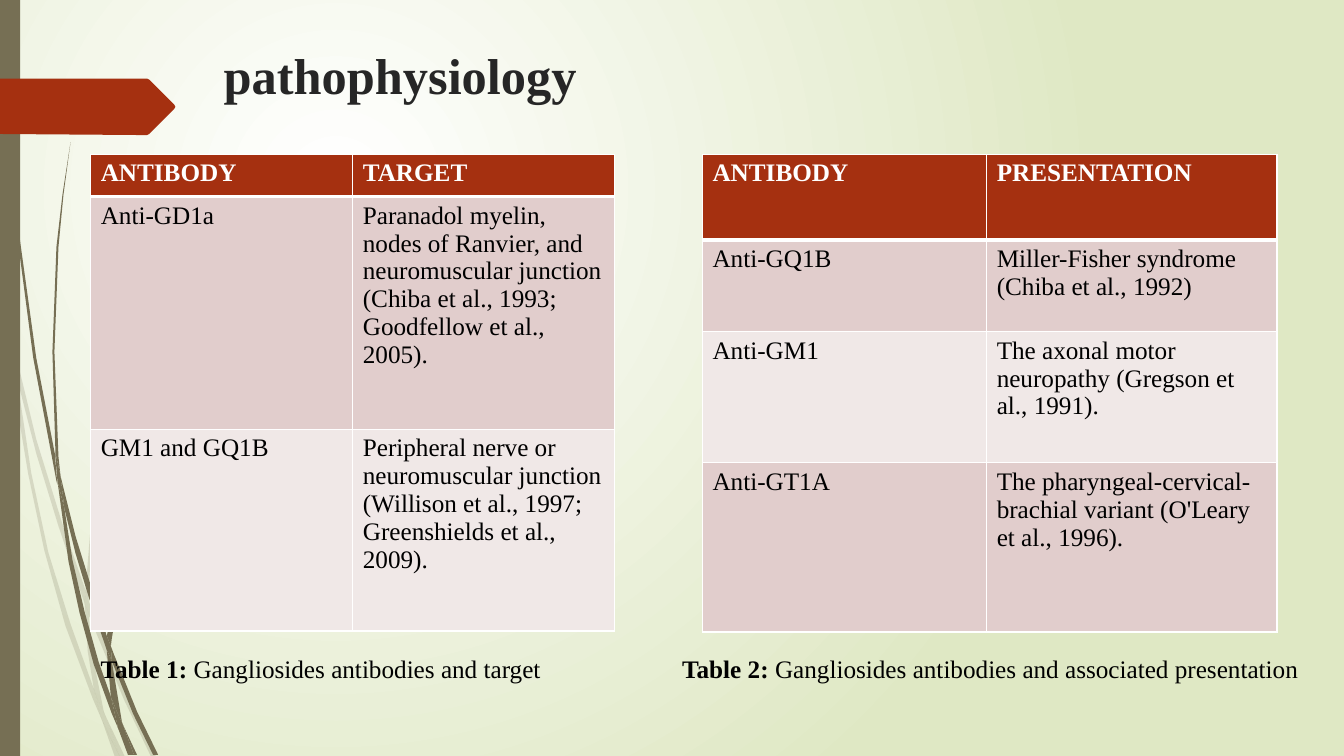
from dataclasses import dataclass

from lxml import etree
from pptx import Presentation
from pptx.dml.color import RGBColor
from pptx.enum.shapes import MSO_SHAPE
from pptx.enum.text import MSO_ANCHOR, MSO_AUTO_SIZE, PP_ALIGN
from pptx.oxml.ns import qn
from pptx.util import Pt

RECT = MSO_SHAPE.RECTANGLE
BOTTOM = MSO_ANCHOR.BOTTOM
LEFT = PP_ALIGN.LEFT
NO_FIT, GROW = MSO_AUTO_SIZE.NONE, MSO_AUTO_SIZE.SHAPE_TO_FIT_TEXT


@dataclass(frozen=True)
class Theme:
    font: str = "Times New Roman"
    title_size: float = 36
    text_size: float = 18
    title: str = "262626"
    text: str = "000000"
    white: str = "FFFFFF"
    edge: str = "DFE8C4"
    wisp: str = "766F54"
    accent: str = "A53010"
    bands: tuple[str, str] = ("E1CDCC", "F0E8E7")


@dataclass(frozen=True)
class AntibodyTable:
    left: float
    col_widths: list[float]
    row_heights: list[float]
    rows: list[tuple[str, str]]


@dataclass(frozen=True)
class Caption:
    left: float
    width: float
    label: str
    wording: str


THEME = Theme()
TABLE_TOP, CAPTION_TOP, CAPTION_HEIGHT = 110.2, 461.5, 29.5
GRID = Pt(0.72)  # unit of the outlines below: a hundredth of an inch

PALE_WISPS = [
    "11,350 9,322 0,282 0,299 10,344",
    "58,522 84,599 85,586 62,520 36,436 14,345 17,376 36,450",
    "92,607 88,596 88,610 123,694 150,751 155,751 127,692",
    "119,751 124,751 105,711",
    "93,683 70,619 48,548 31,469 17,376 11,350 18,410 28,470 44,546 65,621 92,693 101,714 99,707",
    "84,599 87,646 93,683 96,692 105,711 103,706 91,646 88,610 88,608",
    "88,584 92,523 110,462 132,405 160,349 192,296 229,245 268,198 290,175 312,154 312,153 "
    "289,175 268,197 228,244 190,294 158,348 130,403 107,461 90,522 85,584 85,586 88,596",
    "101,714 114,751 119,751",
    "88,608 88,610 88,596 85,586 84,599",
    "96,692 93,683 99,707 101,714 119,751 105,711",
]
DARK_WISPS = [
    "7,110 17,233 33,355 56,477 57,481 55,457 55,453 36,355 19,232 8,109 5,48 4,0 3,0 4,48",
    "88,592 106,645 106,633 106,631 93,590 75,532 60,472 64,505 75,549",
    "113,649 110,641 111,656 132,708 152,749 157,749 136,706",
    "110,691 98,657 84,607 72,556 64,505 57,477 68,557 79,608 93,659 111,708 117,722 116,717",
    "60,472 58,453 54,349 58,245 63,193 70,141 62,193 56,245 52,349 55,449",
    "133,749 136,749 122,719",
    "57,477 64,505 60,472 55,449 55,453",
    "111,633 125,552 158,476 205,406 231,374 245,359 261,344 260,344 "
    "245,358 231,373 204,405 156,474 122,551 106,631 110,641",
    "117,722 127,749 131,749",
    "106,645 110,691 116,706 122,719 121,716 111,656 109,651",
    "106,645 109,651 111,656 110,641 106,631 106,633",
    "116,706 110,691 116,717 117,722 130,749 133,749 122,719",
]
ARROW_BAND = "173,108 148,133 146,134 136,134 0,133 0,78 146,78 148,79 173,104 174,106"

TABLES = [
    AntibodyTable(64.8, [187.2, 187.2], [30.2, 166.3, 144], [
        ("ANTIBODY", "TARGET"),
        ("Anti-GD1a", "Paranadol myelin, nodes of Ranvier, and neuromuscular junction "
                      "(Chiba et al., 1993; Goodfellow et al., 2005)."),
        ("GM1 and GQ1B", "Peripheral nerve or neuromuscular junction "
                         "(Willison et al., 1997; Greenshields et al., 2009)."),
    ]),
    AntibodyTable(501.8, [203, 207.4], [61.2, 65.5, 93.6, 121], [
        ("ANTIBODY", "PRESENTATION"),
        ("Anti-GQ1B", "Miller-Fisher syndrome (Chiba et al., 1992)"),
        ("Anti-GM1", "The axonal motor neuropathy (Gregson et al., 1991)."),
        ("Anti-GT1A", "The pharyngeal-cervical-brachial variant (O'Leary et al., 1996)."),
    ]),
]
CAPTIONS = [
    Caption(64.8, 353.5, "Table 1: ", "Gangliosides antibodies and target"),
    Caption(480.2, 480.2, "Table 2: ", "Gangliosides antibodies and associated presentation"),
]


def rgb(color: str) -> RGBColor:
    return RGBColor.from_string(color)


def add_run(p, text: str, color: str, bold: bool, size: float = THEME.text_size) -> None:
    r = p.add_run()
    r.text = text
    r.font.name, r.font.size, r.font.bold = THEME.font, Pt(size), bold
    r.font.color.rgb = rgb(color)


def paint(sp, color: str, alpha: int = 100) -> None:
    """Fill a shape flat, with opacity in percent and neither line nor shadow."""
    sp.shadow.inherit = False
    sp.line.fill.background()
    sp.fill.solid()
    sp.fill.fore_color.rgb = rgb(color)
    if alpha < 100:
        clr = sp.element.spPr.find(f"{qn('a:solidFill')}/{qn('a:srgbClr')}")
        etree.SubElement(clr, qn("a:alpha"), val=str(alpha * 1000))


def add_outline(s, outline: str, color: str, alpha: int = 100) -> None:
    points = [tuple(int(n) for n in pair.split(",")) for pair in outline.split()]
    builder = s.shapes.build_freeform(*points[0], scale=GRID)
    builder.add_line_segments(points[1:], close=True)
    paint(builder.convert_to_shape(), color, alpha)


def set_background(s) -> None:
    """Radial gradient centred in the upper left quarter."""
    fill = s.background.fill
    fill.gradient()
    for stop, color, position in zip(fill.gradient_stops, (THEME.white, THEME.edge), (0, 1)):
        stop.color.rgb = rgb(color)
        stop.position = position
    grad = s.element.find(f".//{qn('a:gradFill')}")
    grad.remove(grad.find(qn("a:lin")))
    circle = etree.SubElement(grad, qn("a:path"), path="circle")
    etree.SubElement(circle, qn("a:fillToRect"), l="50000", t="50000", r="100000", b="100000")


def set_borders(cell, top: float, bottom: float) -> None:
    tc_pr = cell._tc.get_or_add_tcPr()
    widths = {"a:lnL": 1, "a:lnR": 1, "a:lnT": top, "a:lnB": bottom}
    for i, (tag, width) in enumerate(widths.items()):
        ln = etree.Element(qn(tag), w=str(Pt(width)))
        fill = etree.SubElement(ln, qn("a:solidFill"))
        etree.SubElement(fill, qn("a:srgbClr"), val=THEME.white)
        tc_pr.insert(i, ln)


def add_antibody_table(s, spec_: AntibodyTable) -> None:
    table = s.shapes.add_table(
        len(spec_.row_heights), len(spec_.col_widths), Pt(spec_.left), Pt(TABLE_TOP),
        Pt(sum(spec_.col_widths)), Pt(sum(spec_.row_heights))).table
    for column, width in zip(table.columns, spec_.col_widths):
        column.width = Pt(width)
    for i, (row, height, texts) in enumerate(zip(table.rows, spec_.row_heights, spec_.rows)):
        row.height = Pt(height)
        header = i == 0
        for cell, text in zip(row.cells, texts):
            cell.fill.solid()
            cell.fill.fore_color.rgb = rgb(THEME.accent if header else THEME.bands[(i - 1) % 2])
            set_borders(cell, top=3 if i == 1 else 1, bottom=3 if header else 1)
            add_run(cell.text_frame.paragraphs[0], text,
                    THEME.white if header else THEME.text, bold=header)


def add_caption(s, caption: Caption) -> None:
    sp = s.shapes.add_textbox(Pt(caption.left), Pt(CAPTION_TOP),
                              Pt(caption.width), Pt(CAPTION_HEIGHT))
    tf = sp.text_frame
    tf.word_wrap = True
    tf.auto_size = GROW
    p = tf.paragraphs[0]
    p.line_spacing, p.space_after = 1.07, Pt(8)
    add_run(p, caption.label, THEME.text, bold=True)
    add_run(p, caption.wording, THEME.text, bold=False)


def set_title(s, text: str) -> None:
    sp = s.shapes.title
    sp.left, sp.top, sp.width, sp.height = Pt(152.6), Pt(27.4), Pt(621.4), Pt(51.1)
    tf = sp.text_frame
    tf.auto_size, tf.vertical_anchor = NO_FIT, BOTTOM
    p = tf.paragraphs[0]
    p.alignment = LEFT
    add_run(p, text, THEME.title, bold=True, size=THEME.title_size)


def main() -> None:
    prs = Presentation()
    prs.slide_width, prs.slide_height = Pt(960), Pt(540)
    s = prs.slides.add_slide(prs.slide_layouts[5])
    set_background(s)
    for outline in PALE_WISPS:
        add_outline(s, outline, THEME.wisp, alpha=20)
    for outline in DARK_WISPS:
        add_outline(s, outline, THEME.wisp)
    paint(s.shapes.add_shape(RECT, 0, 0, Pt(14.4), prs.slide_height), THEME.wisp)
    add_outline(s, ARROW_BAND, THEME.accent)
    set_title(s, "pathophysiology")
    for table in TABLES:
        add_antibody_table(s, table)
    for caption in CAPTIONS:
        add_caption(s, caption)
    prs.save("out.pptx")


if __name__ == "__main__":
    main()
